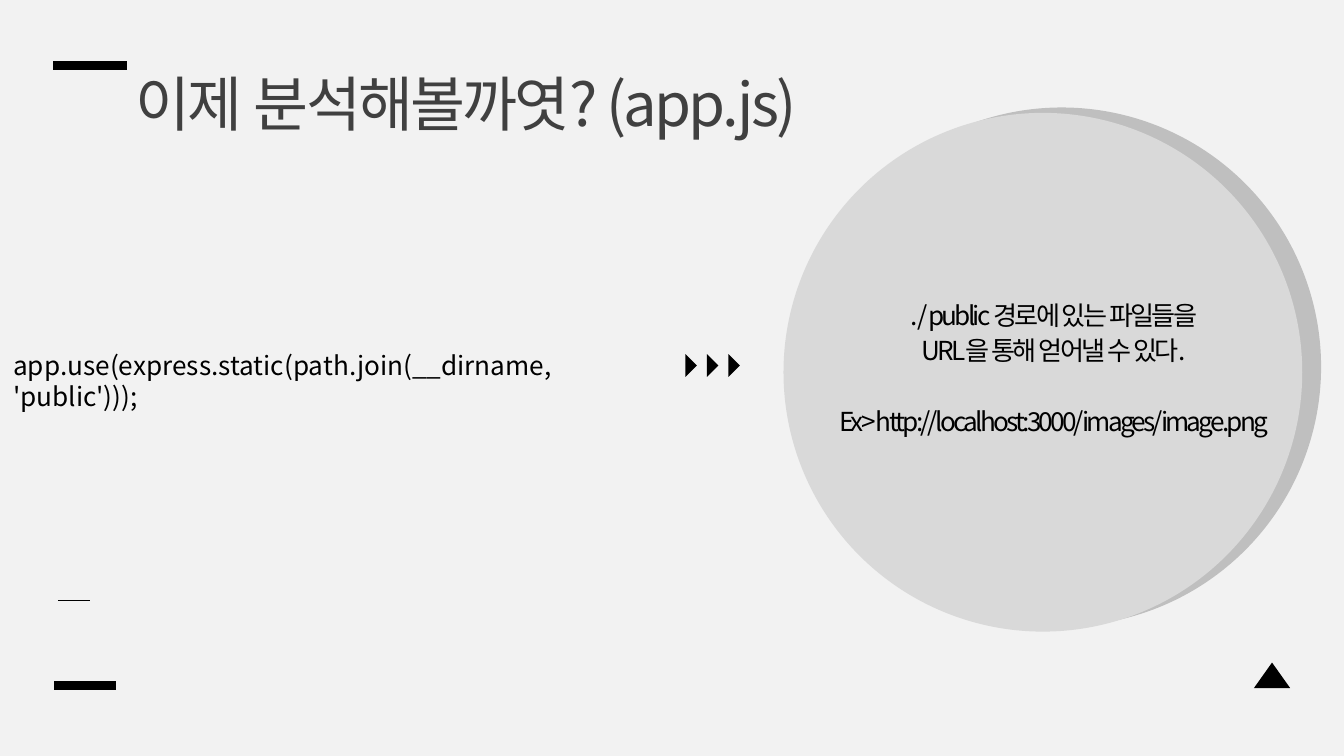
from lxml.etree import SubElement
from pptx import Presentation
from pptx.dml.color import RGBColor
from pptx.enum.shapes import MSO_CONNECTOR, MSO_SHAPE
from pptx.enum.text import MSO_ANCHOR, PP_ALIGN
from pptx.oxml.ns import qn
from pptx.util import Inches, Pt

W = 10
H = W * 9 / 16
FONT = "Noto Sans CJK KR"
COLORS = {"bg": "F2F2F2", "ink": "000000", "title": "404040",
          "disc": "D9D9D9", "shade": "BFBFBF"}


def color(name):
    return RGBColor.from_string(COLORS[name])


def add_rule(s, x, y, length, weight, cap):
    """Horizontal black rule."""
    sp = s.shapes.add_connector(MSO_CONNECTOR.STRAIGHT, Inches(x), Inches(y),
                                Inches(x + length), Inches(y))
    sp.line.color.rgb = color("ink")
    sp.line.width = Pt(weight)
    sp.line._ln.set("cap", cap)
    SubElement(sp._element.spPr, qn("a:effectLst"))


def add_solid(s, kind, x, y, w, h, fill="ink", rotation=0):
    """Filled preset shape without outline."""
    sp = s.shapes.add_shape(kind, Inches(x), Inches(y), Inches(w), Inches(h))
    sp.shadow.inherit = False
    sp.fill.solid()
    sp.fill.fore_color.rgb = color(fill)
    sp.line.fill.background()
    sp.rotation = rotation


def add_text(s, paragraphs, x, y, w, h, size=14, fill="ink", spacing=0,
             align=PP_ALIGN.LEFT, anchor=MSO_ANCHOR.TOP, leading=None):
    """Text box; lines of a paragraph are parted by line breaks."""
    sp = s.shapes.add_textbox(Inches(x), Inches(y), Inches(w), Inches(h))
    tf = sp.text_frame
    tf.word_wrap = True
    tf.vertical_anchor = anchor
    for i, lines in enumerate(paragraphs):
        p = tf.add_paragraph() if i else tf.paragraphs[0]
        p.alignment = align
        if leading:
            p.line_spacing = Pt(leading)
            if i:
                p.space_before = Pt(leading)
        for j, line in enumerate(lines):
            if j:
                p.add_line_break()
            r = p.add_run()
            r.text = line
            r.font.size = Pt(size)
            r.font.name = FONT
            r.font.color.rgb = color(fill)
            rPr = r.font._element
            rPr.set("lang", "ko-KR")
            SubElement(rPr, qn("a:ea")).set("typeface", FONT)
            if spacing:
                rPr.set("spc", str(int(spacing * 100)))


def main():
    prs = Presentation()
    prs.slide_width, prs.slide_height = Inches(W), Inches(H)
    s = prs.slides.add_slide(prs.slide_layouts[6])
    s.background.fill.solid()
    s.background.fill.fore_color.rgb = color("bg")

    # Rules on the left margin
    margin = 0.043 * W
    for y, length, weight, cap in ((0.49, 0.48, 4.75, "sq"),
                                   (4.47, 0.24, 0.5, "flat"),
                                   (5.1, 0.4, 4.5, "sq")):
        add_rule(s, margin, y, length, weight, cap)

    # Title
    add_text(s, [["이제 분석해볼까엿? (app.js)"]], 0.91, 0.45, 6.3, 0.64,
             size=32, fill="title", spacing=-1.5)

    # Plain corner mark
    add_solid(s, MSO_SHAPE.ISOSCELES_TRIANGLE, 9.33, 4.93, 0.27, 0.19)

    # Three arrowheads pointing from the code to its explanation
    for col in range(3):
        add_solid(s, MSO_SHAPE.RIGHT_TRIANGLE, 5.04 + 0.16 * col, 2.66,
                  0.12, 0.12, rotation=225)

    # Disc with its shade
    for x, y, fill in ((5.97, 0.8, "shade"), (5.83, 0.84, "disc")):
        add_solid(s, MSO_SHAPE.OVAL, x, y, 3.86, 3.86, fill)

    # Explanation and code
    add_text(s, [[". / public 경로에 있는 파일들을", "URL을 통해 얻어낼 수 있다."],
                 ["Ex> http://localhost:3000/images/image.png"]],
             5.81, 2.14, 4.06, 1.17, spacing=-1.5, align=PP_ALIGN.CENTER,
             anchor=MSO_ANCHOR.MIDDLE, leading=19)
    add_text(s, [["app.use(express.static(path.join(__dirname, 'public')));"]],
             0, 2.55, 0.49 * W, 0.34)

    prs.save("out.pptx")


if __name__ == "__main__":
    main()
